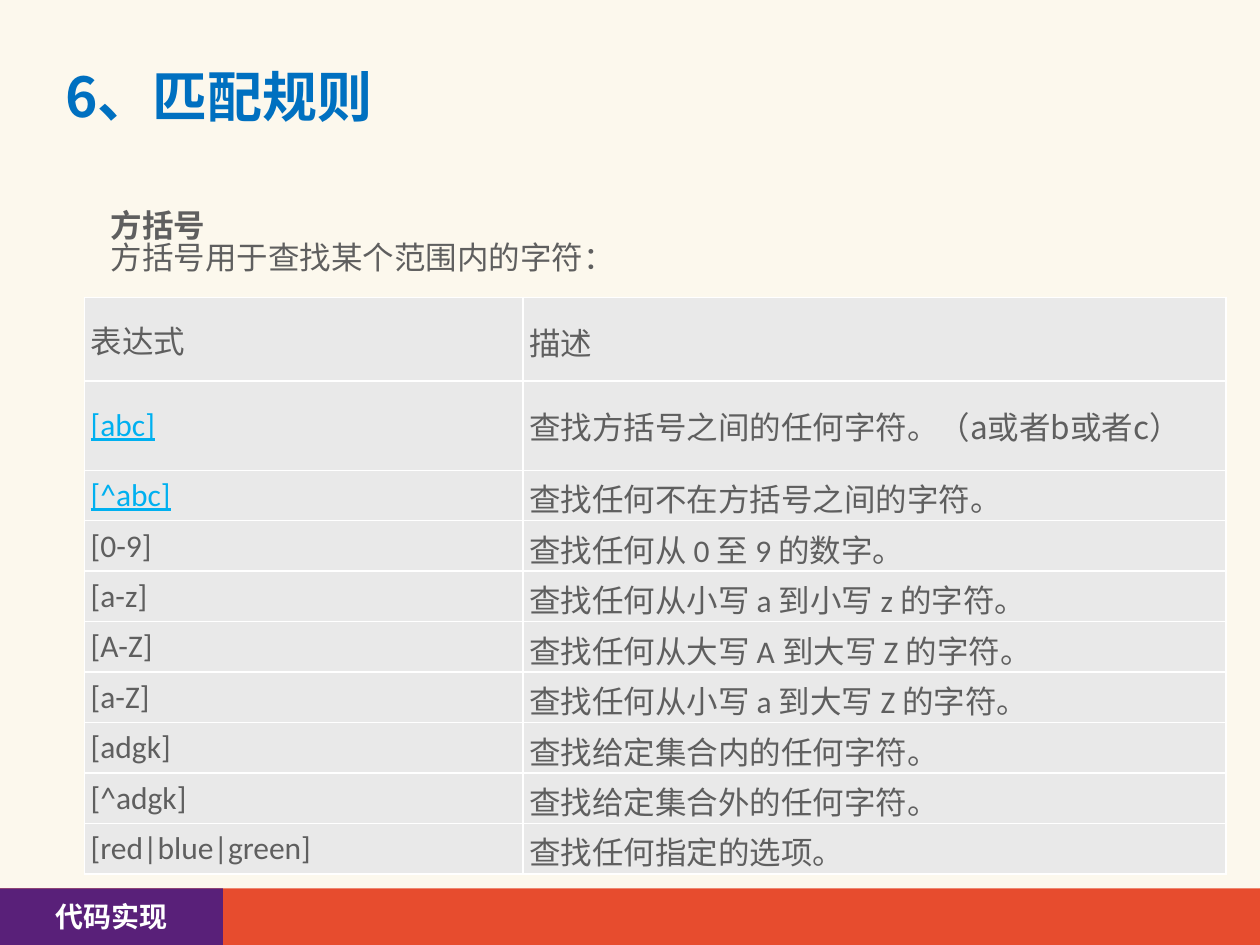
"""Build a slide listing the bracket expressions of regular-expression matching."""
from itertools import groupby
from typing import NamedTuple

from lxml import etree
from pptx import Presentation, util as u
from pptx.dml.color import RGBColor
from pptx.enum import shapes, text
from pptx.oxml.ns import qn

COLORS = {"paper": "FCF8ED", "bar": "E74C2E", "label": "592079", "white": "FFFFFF",
          "title": "0070C0", "body": "5F5F5F", "link": "00B0F0", "cell": "E9E9E9"}
CJK, LATIN = "Noto Sans CJK SC", "Calibri"
WIDTH, HEIGHT = u.Inches(10), u.Inches(7.5)
INSET = 0.05


class Box(NamedTuple):
    """Left, top, width and height as shares of the slide."""
    left: float
    top: float
    width: float
    height: float

    def lengths(self) -> tuple[int, int, int, int]:
        return (int(self.left * WIDTH), int(self.top * HEIGHT),
                int(self.width * WIDTH), int(self.height * HEIGHT))


class Rule(NamedTuple):
    """One table row: an expression and what it matches."""
    expression: str
    description: str
    height: float = 0.4
    linked: bool = False
    expression_font: str = LATIN
    top_inset: float = 0.04
    mixed: bool = True


RULES = [
    Rule("表达式", "描述", 0.66, expression_font=CJK),
    Rule("[abc]", "查找方括号之间的任何字符。（a或者b或者c）", 0.71, True, top_inset=0, mixed=False),
    Rule("[^abc]", "查找任何不在方括号之间的字符。", linked=True),
    Rule("[0-9]", "查找任何从 0 至 9 的数字。"),
    Rule("[a-z]", "查找任何从小写 a 到小写 z 的字符。"),
    Rule("[A-Z]", "查找任何从大写 A 到大写 Z 的字符。"),
    Rule("[a-Z]", "查找任何从小写 a 到大写 Z 的字符。"),
    Rule("[adgk]", "查找给定集合内的任何字符。"),
    Rule("[^adgk]", "查找给定集合外的任何字符。"),
    Rule("[red|blue|green]", "查找任何指定的选项。"),
]
COLUMNS = (3.48, 5.58)


def color(name: str) -> RGBColor:
    return RGBColor.from_string(COLORS[name])


def style(run, size: float, ink: str, font: str = CJK, bold: bool = False) -> None:
    """Format a run, naming its font for Latin and East Asian script."""
    run.font.size, run.font.bold, run.font.name = u.Pt(size), bold, font
    run.font.color.rgb = color(ink)
    etree.SubElement(run.font._element, qn("a:ea"), typeface=CJK)


def set_insets(holder, top: float = INSET, bottom: float = INSET) -> None:
    holder.margin_left = holder.margin_right = u.Inches(INSET)
    holder.margin_top, holder.margin_bottom = u.Inches(top), u.Inches(bottom)


def add_bar(slide, box: Box, fill: str):
    bar = slide.shapes.add_shape(shapes.MSO_SHAPE.RECTANGLE, *box.lengths())
    bar.shadow.inherit = False
    bar.fill.solid()
    bar.fill.fore_color.rgb = color(fill)
    bar.line.fill.background()
    return bar


def add_footer(slide) -> None:
    add_bar(slide, Box(0, 0.94, 1, 0.06), "bar")
    label = add_bar(slide, Box(0, 0.94, 0.177, 0.06), "label").text_frame
    set_insets(label)
    label.text = "代码实现"
    label.vertical_anchor = text.MSO_ANCHOR.MIDDLE
    label.paragraphs[0].alignment = text.PP_ALIGN.CENTER
    style(label.paragraphs[0].runs[0], 16, "white", bold=True)


def set_title(slide) -> None:
    title = slide.shapes.title
    title.left, title.top, title.width, title.height = Box(0.047, 0.05, 0.907, 0.094).lengths()
    frame = title.text_frame
    set_insets(frame)
    frame.text = "6、匹配规则"
    frame.vertical_anchor = text.MSO_ANCHOR.BOTTOM
    heading = frame.paragraphs[0]
    heading.alignment, heading.line_spacing = text.PP_ALIGN.LEFT, 0.9
    style(heading.runs[0], 31.4, "title", bold=True)


def add_intro(slide) -> None:
    frame = slide.shapes.add_textbox(*Box(0.083, 0.218, 0.5, 0.105).lengths()).text_frame
    frame.word_wrap = True
    set_insets(frame)
    frame.text = "方括号\n方括号用于查找某个范围内的字符："
    for row, paragraph in enumerate(frame.paragraphs):
        paragraph.line_spacing = 0.84
        style(paragraph.runs[0], 18, "body", bold=row == 0)


def format_cell(cell, top: float, bottom: float) -> None:
    """Give a cell white borders, a grey fill and centred anchoring."""
    set_insets(cell, top, bottom)
    cell.vertical_anchor = text.MSO_ANCHOR.MIDDLE
    properties = cell._tc.get_or_add_tcPr()
    for side in ("lnL", "lnR", "lnT", "lnB"):
        border = etree.SubElement(properties, qn(f"a:{side}"), w=str(u.Pt(1)))
        fill = etree.SubElement(border, qn("a:solidFill"))
        etree.SubElement(fill, qn("a:srgbClr"), val=COLORS["white"])
    cell.fill.solid()
    cell.fill.fore_color.rgb = color("cell")


def write_description(paragraph, rule: Rule) -> None:
    """Set Latin letters and digits in their own font where the row mixes scripts."""
    words = rule.description.split(" ")
    pieces = [word + " " for word in words[:-1]] + words[-1:]
    for latin, group in groupby(pieces, key=lambda piece: rule.mixed and piece.isascii()):
        run = paragraph.add_run()
        run.text = "".join(group)
        style(run, 18, "body", LATIN if latin else CJK)


def add_rules(slide) -> None:
    box = Box(0.067, 0.315, 0.907, 0.612)
    table = slide.shapes.add_table(len(RULES), len(COLUMNS), *box.lengths()).table
    for column, width in zip(table.columns, COLUMNS):
        column.width = u.Inches(width)
    for row, rule in zip(table.rows, RULES):
        row.height = u.Inches(rule.height)
        expression, description = row.cells
        format_cell(expression, INSET, INSET)
        format_cell(description, rule.top_inset, 0)
        expression.text_frame.text = rule.expression
        run = expression.text_frame.paragraphs[0].runs[0]
        style(run, 18, "link" if rule.linked else "body", rule.expression_font)
        run.font.underline = rule.linked
        write_description(description.text_frame.paragraphs[0], rule)


def main() -> None:
    deck = Presentation()
    deck.slide_width, deck.slide_height = WIDTH, HEIGHT
    slide = deck.slides.add_slide(deck.slide_layouts[5])
    slide.background.fill.solid()
    slide.background.fill.fore_color.rgb = color("paper")
    add_footer(slide)
    set_title(slide)
    add_intro(slide)
    add_rules(slide)
    deck.save("out.pptx")


if __name__ == "__main__":
    main()
